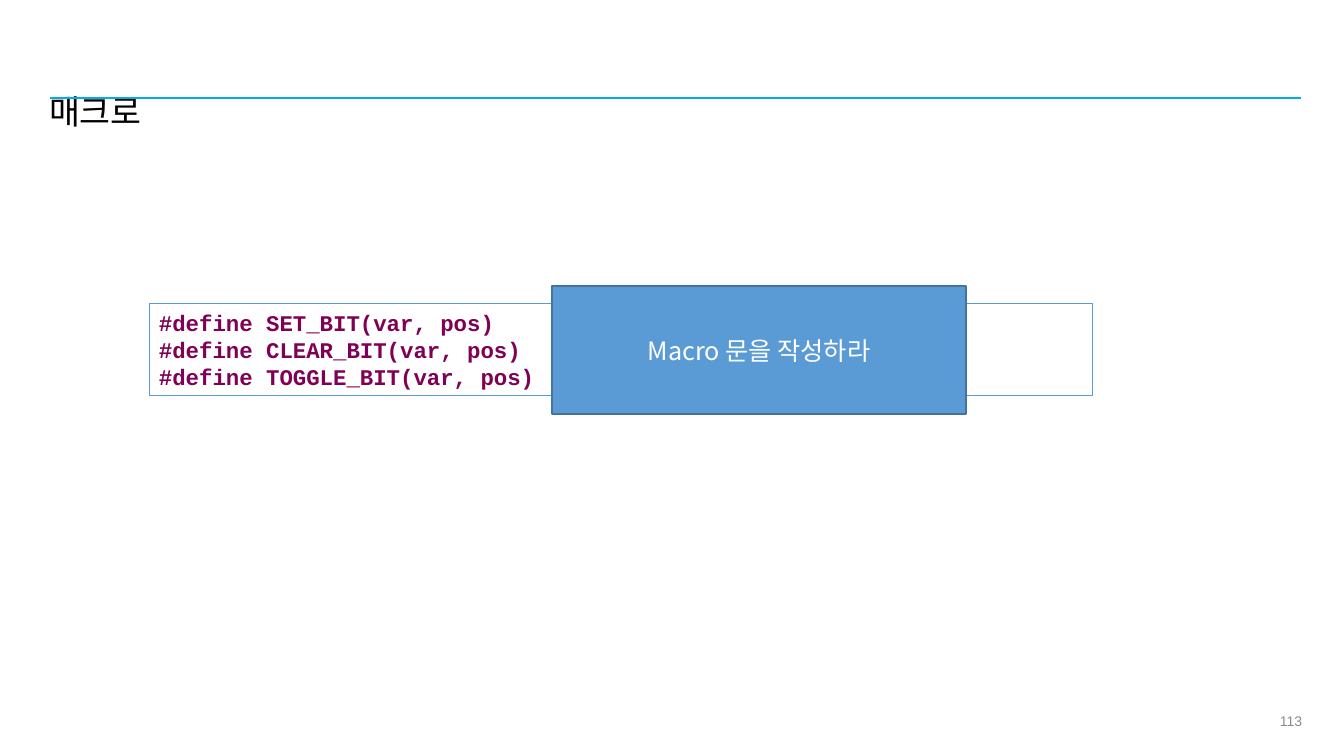
from lxml import etree
from pptx import Presentation
from pptx.dml.color import RGBColor
from pptx.enum.shapes import MSO_CONNECTOR, MSO_SHAPE
from pptx.enum.text import MSO_ANCHOR, MSO_AUTO_SIZE, PP_ALIGN
from pptx.oxml.ns import qn
from pptx.util import Pt

LEFT, CENTER, RIGHT = PP_ALIGN.LEFT, PP_ALIGN.CENTER, PP_ALIGN.RIGHT
TOP, MIDDLE = MSO_ANCHOR.TOP, MSO_ANCHOR.MIDDLE
RECTANGLE = MSO_SHAPE.RECTANGLE
EMU_PER_PX = 914400 / 100.8
KOREAN = "Noto Sans CJK KR"
COLORS = {
    "rule": "00ACE9",
    "title": "000000",
    "number": "8C8C8C",
    "code": "7F0055",
    "blue": "5B9BD5",
    "border": "43739E",
    "white": "FFFFFF",
}


def px(*lengths):
    """Turn pixel lengths into EMU."""
    return [round(length * EMU_PER_PX) for length in lengths]


def write(shape, lines, font, size, color, align=LEFT, anchor=TOP, bold=False, wrap=True):
    """Fill a shape with one formatted paragraph per line."""
    frame = shape.text_frame
    frame.text = "\n".join(lines)
    frame.word_wrap = wrap
    frame.auto_size = MSO_AUTO_SIZE.NONE
    frame.vertical_anchor = anchor
    for para in frame.paragraphs:
        para.alignment = align
        para.font.name = font
        para.font.size = Pt(size)
        para.font.bold = bold
        para.font.color.rgb = RGBColor.from_string(COLORS[color])
        latin = para.font._element.find(qn("a:latin"))
        east_asian = etree.Element(qn("a:ea"), typeface=font)
        latin.addnext(east_asian)


deck = Presentation()
deck.slide_width, deck.slide_height = px(1344, 756)
page = deck.slides.add_slide(deck.slide_layouts[5])

# Header
rule = page.shapes.add_connector(MSO_CONNECTOR.STRAIGHT, *px(50, 98, 1301, 98))
rule.line.color.rgb = RGBColor.from_string(COLORS["rule"])
rule.line.width = Pt(1.5)
etree.SubElement(rule._element.spPr, qn("a:effectLst"))

title = page.shapes.title
title.left, title.top, title.width, title.height = px(39, 86, 122, 58)
write(title, ["매크로"], KOREAN, 24, "title", wrap=False)

# Page number
number = page.shapes.add_textbox(*px(957, 701, 355, 40))
write(number, ["113"], "Arial", 10, "number", RIGHT, MIDDLE)

# Code listing
code_box = page.shapes.add_shape(RECTANGLE, *px(149, 304, 944, 92))
code_box.shadow.inherit = False
code_box.fill.background()
code_box.line.color.rgb = RGBColor.from_string(COLORS["blue"])
code_box.line.width = Pt(0.75)
macros = ["SET_BIT", "CLEAR_BIT", "TOGGLE_BIT"]
write(code_box, [f"#define {macro}(var, pos)" for macro in macros],
      "Courier New", 16, "code", bold=True)

# Task cover
task_box = page.shapes.add_shape(RECTANGLE, *px(552, 286, 414, 128))
task_box.shadow.inherit = False
task_box.fill.solid()
task_box.fill.fore_color.rgb = RGBColor.from_string(COLORS["blue"])
task_box.line.color.rgb = RGBColor.from_string(COLORS["border"])
task_box.line.width = Pt(1)
write(task_box, ["Macro 문을 작성하라"], KOREAN, 18, "white", CENTER, MIDDLE)

deck.save("out.pptx")
